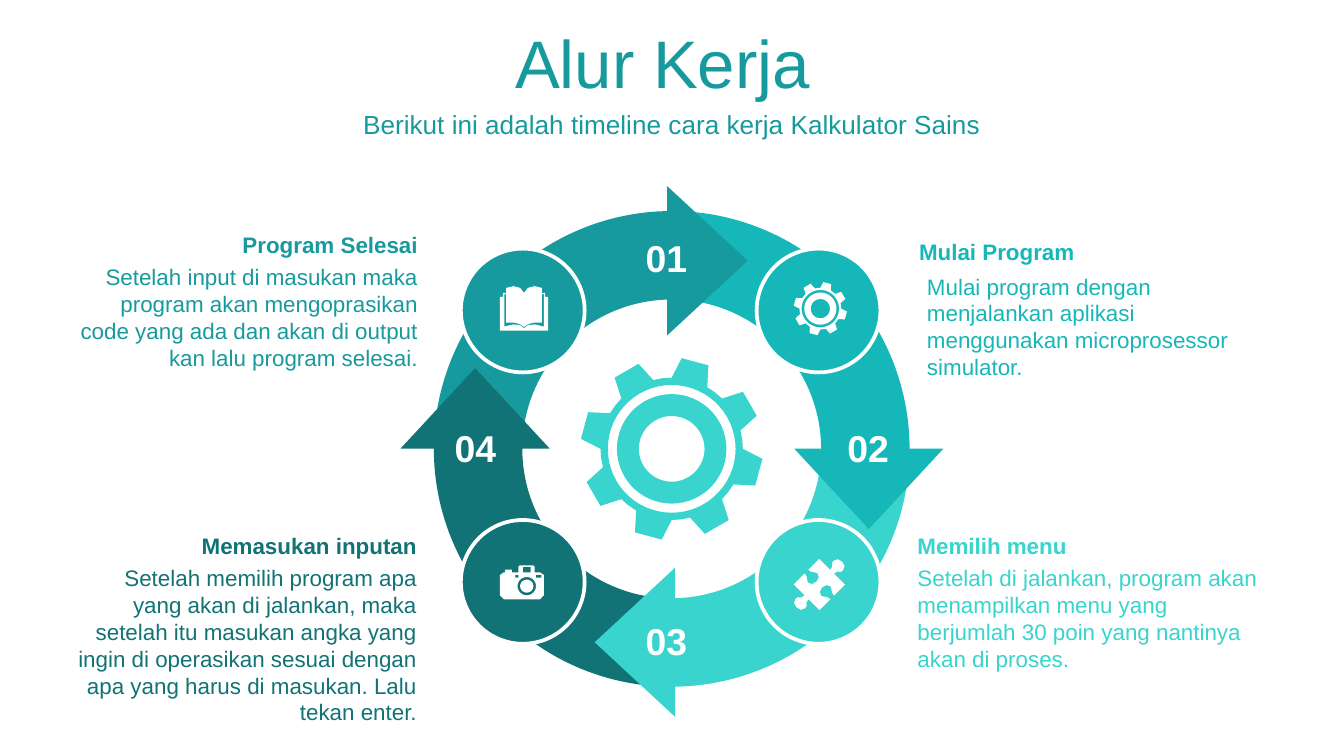
from math import cos, radians, sin

from pptx import Presentation
from pptx.dml.color import RGBColor
from pptx.enum.shapes import MSO_SHAPE as Preset
from pptx.enum.text import MSO_ANCHOR as Anchor, MSO_AUTO_SIZE as AutoSize, PP_ALIGN as Align
from pptx.util import Cm, Pt

TEAL = RGBColor(0x17, 0x9A, 0x9D)
CYAN = RGBColor(0x16, 0xB7, 0xB8)
MINT = RGBColor(0x38, 0xD4, 0xCD)
DEEP = RGBColor(0x11, 0x73, 0x76)
WHITE = RGBColor(0xFF, 0xFF, 0xFF)
CYCLE = [TEAL, CYAN, MINT, DEEP]


def add_text(page, box, text, size=12, color=TEAL, bold=False, align=Align.LEFT,
             anchor=Anchor.TOP, wrap=True, fit=AutoSize.SHAPE_TO_FIT_TEXT):
    frame = page.shapes.add_textbox(*map(Cm, box)).text_frame
    frame.word_wrap = wrap
    frame.auto_size = fit
    frame.vertical_anchor = anchor
    para = frame.paragraphs[0]
    para.alignment = align
    span = para.add_run()
    span.text = text
    span.font.name = "Arial"
    span.font.size = Pt(size)
    span.font.bold = bold
    span.font.color.rgb = color


def paint(shape, color):
    shape.shadow.inherit = False
    shape.fill.solid()
    shape.fill.fore_color.rgb = color
    shape.line.fill.background()


def add_preset(page, preset, box, color, rotation=0):
    shape = page.shapes.add_shape(preset, *map(Cm, box))
    paint(shape, color)
    shape.rotation = rotation
    return shape


def add_outline(page, box, contours, color, rotation=0):
    left, top, width, height = box
    placed = [[(Cm(left + x * width), Cm(top + y * height)) for x, y in contour]
              for contour in contours]
    builder = page.shapes.build_freeform(*placed[0][0], scale=1.0)
    builder.add_line_segments(placed[0][1:], close=True)
    for contour in placed[1:]:
        builder.move_to(*contour[0])
        builder.add_line_segments(contour[1:], close=True)
    shape = builder.convert_to_shape()
    paint(shape, color)
    shape.rotation = rotation


def polar(angle, radius_x, radius_y, center=(0.5, 0.5)):
    return (center[0] + radius_x * cos(radians(angle)),
            center[1] + radius_y * sin(radians(angle)))


def ellipse(radius_x, radius_y, center=(0.5, 0.5)):
    return [polar(angle, radius_x, radius_y, center) for angle in range(0, 360, 6)]


def rectangle(left, top, right, bottom):
    return [(left, top), (right, top), (right, bottom), (left, bottom)]


def draw_gear(page, box, color):
    tooth = [(-15, 0.39), (-8.7, 0.5), (8.7, 0.5), (15, 0.39), (22.5, 0.39)]
    rim = [polar(center + turn, radius, radius)
           for center in range(-75, 285, 45) for turn, radius in tooth]
    rings = [ellipse(radius, radius) for radius in (0.35, 0.3, 0.18)]
    add_outline(page, box, [rim, *rings], color)


def draw_book(page, box, color):
    cover = [(0, 1), (0, 0.24), (0.06, 0.24), (0.06, 0.15), (0.13, 0.15),
             (0.13, 0.04), (0.28, 0), (0.42, 0.04), (0.5, 0.15)]
    seam = [(0.5, 0.95), (0.42, 0.88), (0.28, 0.86), (0.09, 0.91), (0.09, 0.18),
            (0.13, 0.18), (0.13, 0.82), (0.3, 0.82), (0.42, 0.86), (0.5, 0.92)]

    def mirror(points):
        return [(1 - x, y) for x, y in points]

    add_outline(page, box, [cover + mirror(cover)[::-1], seam, mirror(seam)], color)


def draw_camera(page, box, color):
    body = [(0, 0.28), (0.09, 0.2), (0.12, 0.2), (0.12, 0.12), (0.27, 0.12), (0.27, 0.2),
            (0.42, 0.2), (0.42, 0.04), (0.45, 0), (0.76, 0), (0.79, 0.04), (0.79, 0.2),
            (0.91, 0.2), (1, 0.28), (1, 0.88), (0.91, 1), (0.09, 1), (0, 0.88)]
    lens = (0.61, 0.61)
    add_outline(page, box, [
        body, ellipse(0.21, 0.27, lens), ellipse(0.15, 0.19, lens),
        rectangle(0.35, 0.28, 0.42, 0.36), rectangle(0.82, 0.28, 0.94, 0.36),
        rectangle(0.52, 0.04, 0.7, 0.2)], color)


def draw_puzzle(page, box, color):
    quarter = [(0, 1), (0.26, 0.96), (0.37, 0.83), (0.34, 0.75), (0.19, 0.67),
               (0.15, 0.56), (1, 0.56), (1, 0.08), (0.82, 0.1), (0.52, 0.21),
               (0.3, 0.15), (0.22, 0)]
    edge = []
    for side_x, side_y, step in [(1, -1, 1), (1, 1, -1), (-1, 1, 1), (-1, -1, -1)]:
        edge += [(0.5 + side_x * x / 2, 0.5 + side_y * y / 2) for x, y in quarter[::step]]
    add_outline(page, box, [edge], color, rotation=45)


def draw_header(page, box):
    left, top, width, height = box
    title_height = height * 0.67
    style = dict(align=Align.CENTER, anchor=Anchor.MIDDLE, fit=AutoSize.NONE)
    add_text(page, (left, top, width, title_height), "Alur Kerja ", size=36, **style)
    add_text(page, (left, top + title_height, width, height - title_height),
             "Berikut ini adalah timeline cara kerja Kalkulator Sains", size=14, **style)


def draw_ring(page, box):
    for index, color in enumerate(CYCLE):
        arc = add_preset(page, Preset.BLOCK_ARC, box, color, 90 * index)
        for slot, value in enumerate((108, 162.276, 0.186)):
            arc.adjustments[slot] = value
    left, top = box[:2]
    heads = [(3.76, 0.18), (6.81, 4.49), (2.39, 7.39), (-0.63, 2.97)]
    for index, (x, y) in enumerate(heads):
        add_preset(page, Preset.ISOSCELES_TRIANGLE, (left + x, top + y, 2.82, 1.52),
                   CYCLE[index], 90 * (index + 1) % 360)


def draw_numbers(page, box):
    left, top = box[:2]
    spots = [(3.74, 0.33), (7.55, 3.93), (3.74, 7.57), (0.13, 3.93)]
    for number, (x, y) in enumerate(spots, 1):
        add_text(page, (left + x, top + y, 1.3, 1.12), f"{number:02}", size=20,
                 color=WHITE, bold=True, align=Align.RIGHT, wrap=False)


def draw_step(page, box, heading, body, color, align, indent=0, gap=0.61):
    left, top, width, height = box
    add_text(page, (left + indent, top + gap, width, height - gap), body,
             color=color, align=align)
    add_text(page, (left, top, width, 0.76), heading, color=color, bold=True, align=align)


def draw_badge(page, box, color):
    badge = add_preset(page, Preset.OVAL, box, color)
    badge.line.color.rgb = WHITE
    badge.line.width = Pt(2)


def main():
    deck = Presentation()
    deck.slide_width, deck.slide_height = Cm(25.4), Cm(14.29)
    page = deck.slides.add_slide(deck.slide_layouts[6])
    ring = (8.2, 3.99, 8.99, 8.99)

    draw_header(page, (0, 0.36, 25.4, 2.38))
    draw_ring(page, ring)
    draw_step(page, (1.09, 4.24, 7.06, 2.92), "Program Selesai",
              "Setelah input di masukan maka program akan mengoprasikan code yang ada "
              "dan akan di output kan lalu program selesai.", TEAL, Align.RIGHT)
    draw_step(page, (1.07, 9.93, 7.06, 3.94), "Memasukan inputan",
              "Setelah memilih program apa yang akan di jalankan, maka setelah itu "
              "masukan angka yang ingin di operasikan sesuai dengan apa yang harus di "
              "masukan. Lalu tekan enter.", DEEP, Align.RIGHT)
    draw_step(page, (17.12, 4.37, 7.06, 2.97), "Mulai Program",
              "Mulai program dengan menjalankan aplikasi menggunakan microprosessor "
              "simulator.", CYAN, Align.LEFT, indent=0.15, gap=0.66)
    draw_step(page, (17.09, 9.93, 7.06, 2.92), "Memilih menu",
              "Setelah di jalankan, program akan menampilkan menu yang berjumlah 30 "
              "poin yang nantinya akan di proses.", MINT, Align.LEFT)
    for left, top, color in [(8.71, 9.83, DEEP), (8.71, 4.7, TEAL),
                             (14.3, 4.7, CYAN), (14.3, 9.83, MINT)]:
        draw_badge(page, (left, top, 2.34, 2.34), color)
    draw_book(page, (9.45, 5.41, 0.91, 0.84), WHITE)
    draw_puzzle(page, (15.14, 10.44, 0.69, 1.22), WHITE)
    draw_gear(page, (15, 5.33, 1.01, 1.01), WHITE)
    draw_camera(page, (9.45, 10.69, 0.83, 0.64), WHITE)
    draw_gear(page, (10.97, 6.76, 3.45, 3.45), MINT)
    draw_numbers(page, ring)
    deck.save("out.pptx")


if __name__ == "__main__":
    main()
